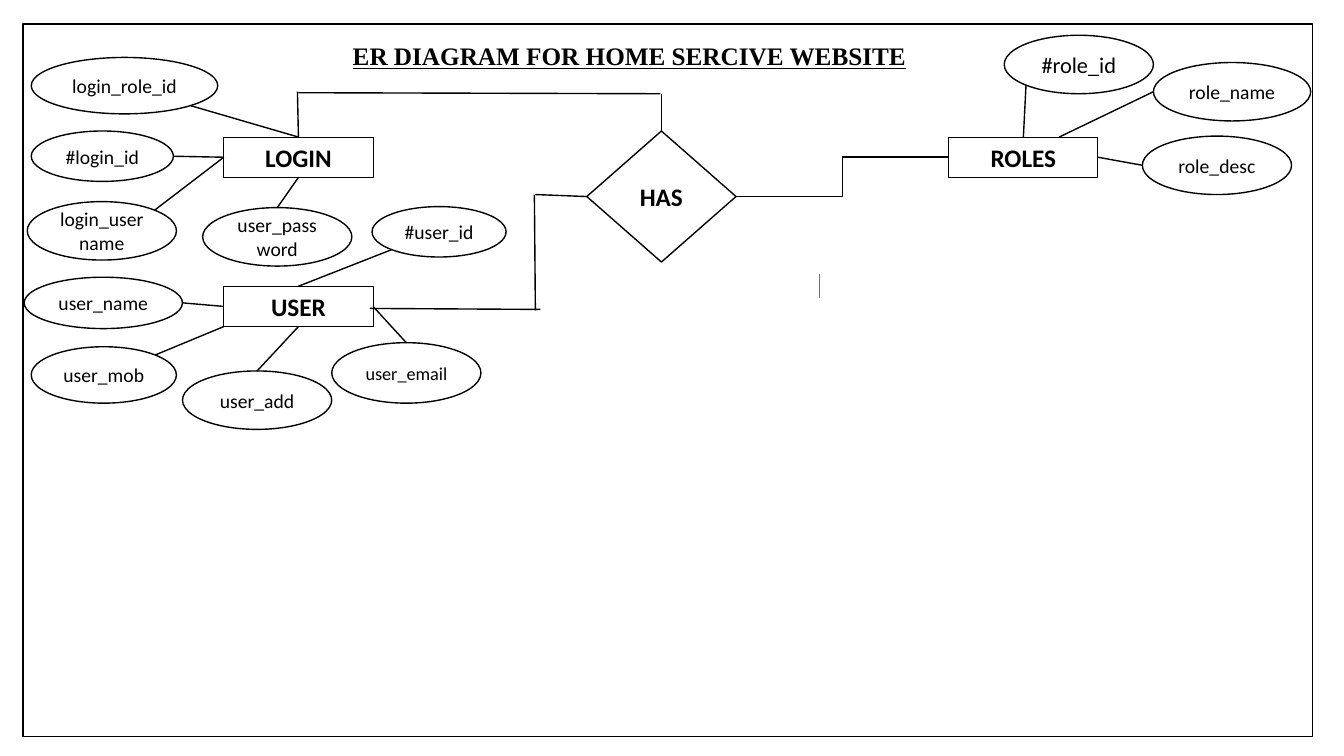
from pptx import Presentation
from pptx.dml.color import RGBColor
from pptx.enum.shapes import MSO_CONNECTOR as Link, MSO_SHAPE as Preset
from pptx.enum.text import MSO_ANCHOR as Anchor, PP_ALIGN as Align
from pptx.util import Inches, Pt
from lxml.etree import SubElement
from pptx.oxml.ns import qn

TITLE = "ER DIAGRAM FOR HOME SERCIVE WEBSITE"
COLORS = {"ink": "000000", "accent": "4472C4"}
ENTITY_SIZE = (1.48, 0.4)
ENTITIES = {"LOGIN": (2.22, 1.36), "USER": (2.22, 2.84), "ROLES": (9.41, 1.36)}
RELATION = ("HAS", (5.82, 1.3, 1.48, 1.3))

NEAR, FAR = 0.146, 0.854
SITES = {
    "top": (0.5, 0), "bottom": (0.5, 1), "left": (0, 0.5), "right": (1, 0.5),
    "upper left": (NEAR, NEAR), "upper right": (FAR, NEAR),
    "lower left": (NEAR, FAR), "lower right": (FAR, FAR),
    "corner": (0, 1), "top share": (0.74, 0),
}
ATTRIBUTES = {
    "LOGIN": [
        ("login_role_id", (0.31, 0.57, 1.85, 0.56), 14, "lower right", "top"),
        ("#login_id", (0.31, 1.3, 1.41, 0.5), 14, "right", "left"),
        ("login_username", (0.27, 2, 1.48, 0.58), 14, "upper right", "left"),
        ("user_password", (2.01, 2.06, 1.48, 0.58), 14, "top", "bottom"),
    ],
    "USER": [
        ("user_name", (0.24, 2.75, 1.57, 0.51), 14, "right", "left"),
        ("user_mob", (0.31, 3.44, 1.44, 0.56), 14, "upper right", "corner"),
        ("user_add", (1.81, 3.68, 1.48, 0.58), 14, "top", "bottom"),
        ("user_email", (3.29, 3.4, 1.48, 0.6), 13, "top", "right"),
        ("#user_id", (3.69, 2.05, 1.33, 0.5), 14, "lower left", "top"),
    ],
    "ROLES": [
        ("#role_id", (9.96, 0.35, 1.48, 0.58), 16, "lower left", "top"),
        ("role_name", (11.44, 0.62, 1.56, 0.58), 14, "left", "top share"),
        ("role_desc", (11.33, 1.35, 1.48, 0.58), 14, "left", "right"),
    ],
}
RELATION_LINES = [
    ((6.56, 1.3), (6.56, 0.93)),
    ((6.55, 0.93), (2.96, 0.92)),
    ((2.95, 0.91), (2.96, 1.36)),
    ((5.82, 1.95), (5.31, 1.93)),
    ((5.31, 3.08), (5.3, 1.93)),
    ((5.36, 3.07), (3.67, 3.06)),
]
STRAY_LINE = ((8.13, 2.72), (8.13, 2.96))

presentation = Presentation()
presentation.slide_width, presentation.slide_height = Inches(13.33), Inches(7.5)
slide = presentation.slides.add_slide(presentation.slide_layouts[6])


def color(name):
    return RGBColor.from_string(COLORS[name])


def write(frame, text, size, align=Align.CENTER, **formats):
    frame.word_wrap = True
    paragraph = frame.paragraphs[0]
    paragraph.alignment = align
    run = paragraph.add_run()
    run.text = text
    run.font.color.rgb = color("ink")
    for name, value in {"name": "Calibri", "size": Pt(size), **formats}.items():
        setattr(run.font, name, value)


def outline(preset, box, width=1):
    shape = slide.shapes.add_shape(preset, *map(Inches, box))
    shape.shadow.inherit = False
    shape.fill.background()
    shape.line.color.rgb = color("ink")
    shape.line.width = Pt(width)
    shape.text_frame.vertical_anchor = Anchor.MIDDLE
    return shape


def connect(start, end, kind=Link.STRAIGHT, tint="ink", width=1):
    connector = slide.shapes.add_connector(kind, *map(Inches, start + end))
    connector.line.color.rgb = color(tint)
    connector.line.width = Pt(width)
    SubElement(connector._element.spPr, qn("a:effectLst"))


def site(box, name):
    left, top, width, height = box
    across, down = SITES[name]
    return left + width * across, top + height * down


outline(Preset.RECTANGLE, (0.23, 0.24, 12.79, 7.07))
title = slide.shapes.add_textbox(*map(Inches, (3.4, 0.35, 5.95, 0.4)))
write(title.text_frame, TITLE, 18, Align.LEFT, name="Times New Roman", bold=True, underline=True)

relation_name, relation_box = RELATION
relation = outline(Preset.FLOWCHART_DECISION, relation_box)
write(relation.text_frame, relation_name, 18, bold=True)

for entity_name, corner in ENTITIES.items():
    entity_box = corner + ENTITY_SIZE
    entity = outline(Preset.RECTANGLE, entity_box, 0.75)
    write(entity.text_frame, entity_name, 18, bold=True)
    for text, box, size, attribute_site, entity_site in ATTRIBUTES[entity_name]:
        attribute = outline(Preset.OVAL, box)
        write(attribute.text_frame, text, size)
        connect(site(entity_box, entity_site), site(box, attribute_site))

for start, end in RELATION_LINES:
    connect(start, end)
roles_box = ENTITIES["ROLES"] + ENTITY_SIZE
connect(site(relation_box, "right"), site(roles_box, "left"), Link.ELBOW)
connect(*STRAY_LINE, tint="accent", width=0.5)

presentation.save("out.pptx")
